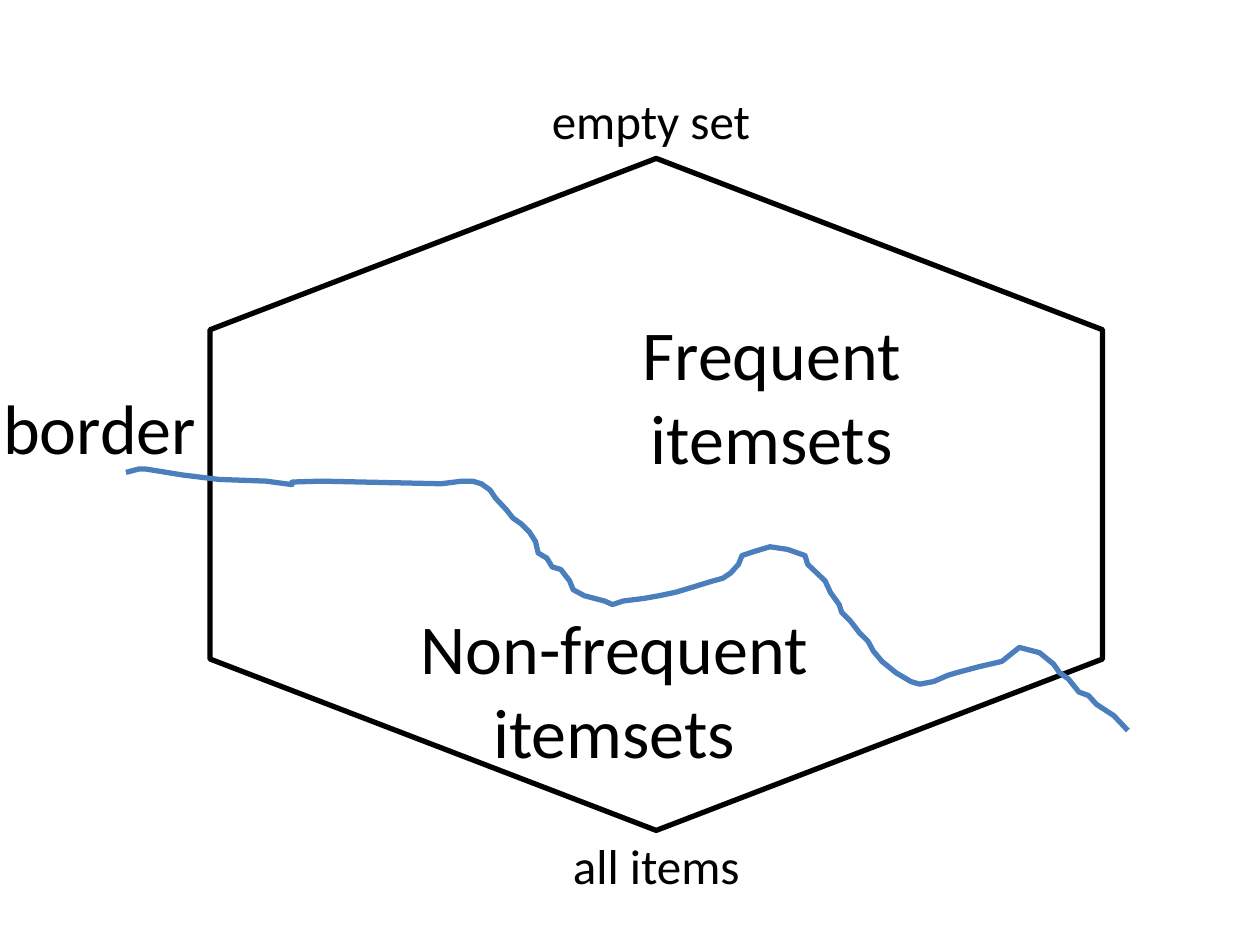
import pptx
import pptx.util
import pptx.dml.color
import pptx.enum.shapes
import pptx.enum.text

Pt = pptx.util.Pt
BLACK = pptx.dml.color.RGBColor(0x00, 0x00, 0x00)
BLUE = pptx.dml.color.RGBColor(0x4B, 0x7E, 0xBC)

# Points along the border, left to right
BORDER = [
    (72, 270), (79.5, 268), (83, 268), (104.5, 271.5), (125, 274),
    (152, 275), (167, 277), (166.5, 276), (167, 275.5), (183.5, 275),
    (252, 276.5), (264, 275), (270, 275), (275, 276.5), (280, 280),
    (283, 284.5), (289.5, 291.5), (293, 296), (298, 299.5), (302.5, 304),
    (306, 309.5), (307.5, 316), (312.5, 319), (315.5, 324), (320.5, 325.5),
    (325.5, 332), (327.5, 337), (334, 340.5), (345.5, 343.5), (350, 345.5),
    (356, 343.5), (368, 342), (376.5, 340.5), (386, 338.5), (396, 335.5),
    (407.5, 332), (413, 330.5), (417.5, 327.5), (422, 322.5), (424, 317.5),
    (431.5, 315), (440, 312.5), (450, 314), (460, 317.5), (461.5, 322.5),
    (471.5, 332), (474.5, 338.5), (479.5, 345.5), (481, 350), (486, 355),
    (491, 361.5), (496, 366.5), (499, 372), (504, 378), (512, 384.5),
    (520.5, 389.5), (525.5, 391), (533.5, 389.5), (541.5, 386),
    (546.5, 384.5), (559.5, 381), (572.5, 378), (577.5, 374), (582.5, 370),
    (594, 373), (602, 379.5), (605.5, 384.5), (610.5, 388), (616.5, 395.5),
    (622, 397.5), (626.5, 402.5), (636.5, 409), (644.5, 417.5),
]


class Board:
    font = "Calibri"
    stroke = 3

    def __init__(self, slide):
        self.slide = slide

    def outline(self, shape, color):
        shape.shadow.inherit = False
        shape.fill.background()
        shape.line.color.rgb = color
        shape.line.width = Pt(self.stroke)

    def hexagon(self, left, top, width, height):
        shape = self.slide.shapes.add_shape(
            pptx.enum.shapes.MSO_SHAPE.HEXAGON,
            Pt(left), Pt(top), Pt(width), Pt(height))
        shape.adjustments[0] = 0.255
        shape.rotation = 90
        self.outline(shape, BLACK)

    def curve(self, points, color):
        spots = [(Pt(x), Pt(y)) for x, y in points]
        pen = self.slide.shapes.build_freeform(*spots[0])
        pen.add_line_segments(spots[1:], close=False)
        self.outline(pen.convert_to_shape(), color)

    def label(self, text, left, top, width, height, size):
        box = self.slide.shapes.add_textbox(
            Pt(left), Pt(top), Pt(width), Pt(height))
        frame = box.text_frame
        frame.word_wrap = True
        para = frame.paragraphs[0]
        para.text = text
        para.alignment = pptx.enum.text.PP_ALIGN.CENTER
        para.font.name = self.font
        para.font.size = Pt(size)
        para.font.color.rgb = BLACK


deck = pptx.Presentation()
deck.slide_width, deck.slide_height = Pt(720), Pt(540)
board = Board(deck.slides.add_slide(deck.slide_layouts[6]))

# Lattice of itemsets with its two ends
board.hexagon(183, 27.5, 384, 510)
board.label("all items", 306, 474, 138, 41, 28)
board.label("empty set", 300, 48, 144, 41, 28)

# Border between the two regions
board.curve(BORDER, BLUE)

# Names of the regions and the border
board.label("Frequent itemsets", 300, 174, 282, 104, 40)
board.label("Non-frequent itemsets", 210, 342, 282, 104, 40)
board.label("border", -84, 216, 282, 56, 40)

deck.save("out.pptx")
